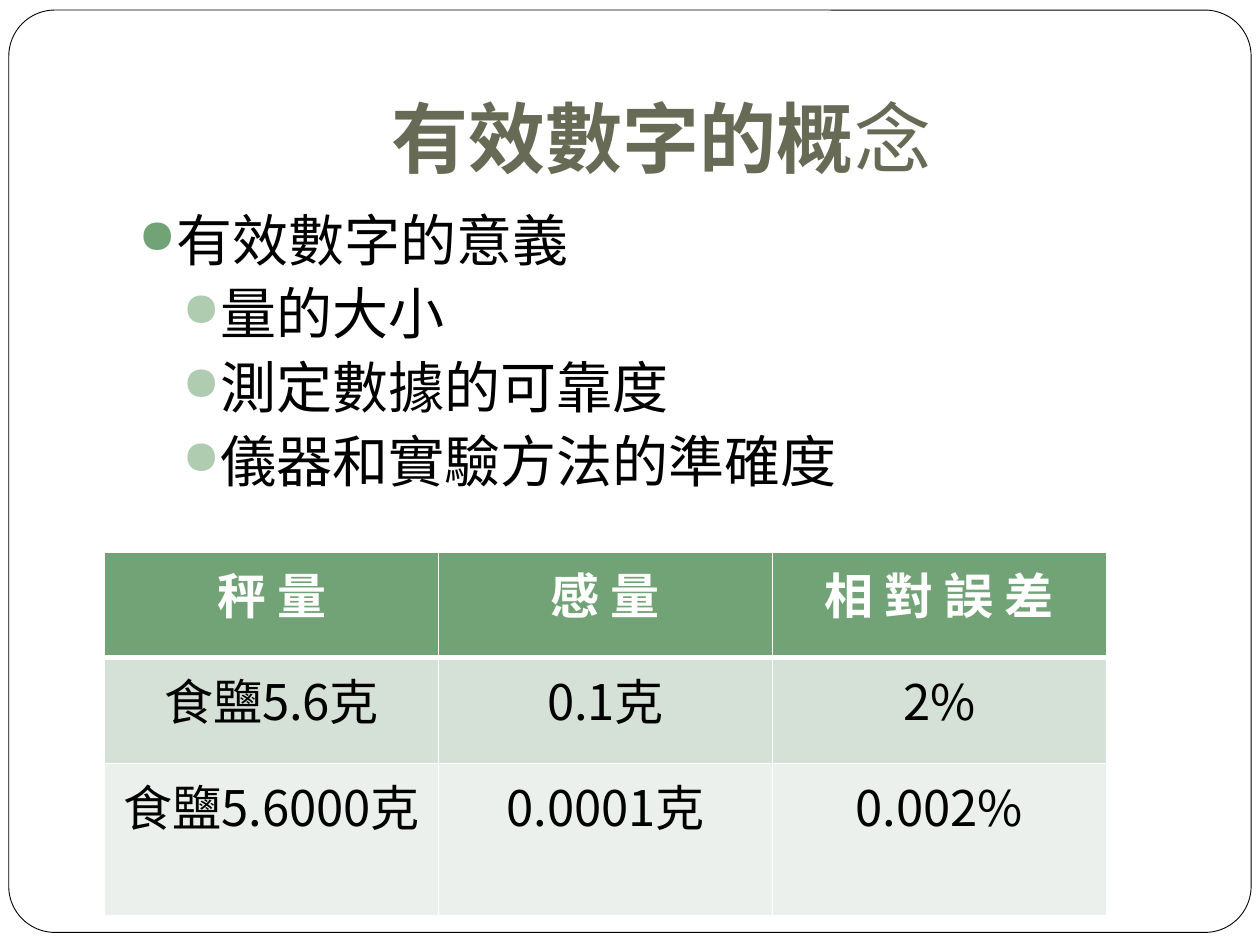
from lxml import etree
from pptx import Presentation
from pptx import util as u
from pptx.dml.color import RGBColor
from pptx.enum import shapes, text
from pptx.oxml.ns import qn

INK = RGBColor(0x00, 0x00, 0x00)
WHITE = RGBColor(0xFF, 0xFF, 0xFF)
OLIVE = RGBColor(0x67, 0x6A, 0x55)
GREEN = RGBColor(0x72, 0xA3, 0x76)
SAGE = RGBColor(0xB0, 0xCC, 0xB0)
BANDS = [GREEN, RGBColor(0xD5, 0xE0, 0xD6), RGBColor(0xEB, 0xF0, 0xEC)]
FACE = "Noto Sans CJK SC"
LEVELS = [(0.3, 0.3, 5.8, GREEN), (0.6, 0.25, 3.7, SAGE)]
POINTS = [
    (0, "有效數字的意義"),
    (1, "量的大小"),
    (1, "測定數據的可靠度"),
    (1, "儀器和實驗方法的準確度"),
]
ROWS = [
    ["秤 量", "感 量", "相 對 誤 差"],
    ["食鹽5.6克", "0.1克", "2%"],
    ["食鹽5.6000克", "0.0001克", "0.002%"],
]


def add(node, tag, **attrs):
    return etree.SubElement(node, qn(tag), **attrs)


class Deck:
    def __init__(self, wide, high):
        self.prs = Presentation()
        self.prs.slide_width = u.Inches(wide)
        self.prs.slide_height = u.Inches(high)
        self.slide = self.prs.slides.add_slide(self.prs.slide_layouts[5])

    def box(self, left, top, wide, high):
        return [u.Inches(n) for n in (left, top, wide, high)]

    def style(self, run, size, color, bold=False):
        font = run.font
        font.name, font.size, font.bold = FACE, u.Pt(size), bold
        font.color.rgb = color
        east = etree.Element(qn("a:ea"), typeface=FACE)
        run._r.rPr.find(qn("a:latin")).addnext(east)

    def frame(self, area):
        card = self.slide.shapes.add_shape(
            shapes.MSO_SHAPE.ROUNDED_RECTANGLE, *self.box(*area))
        card.adjustments[0] = 0.05
        card.shadow.inherit = False
        card.fill.solid()
        card.fill.fore_color.rgb = WHITE
        card.line.color.rgb = INK
        card.line.width = u.Pt(0.5)
        self.slide.shapes._spTree.insert(2, card._element)

    def title(self, area, parts):
        head = self.slide.shapes.title
        head.left, head.top, head.width, head.height = self.box(*area)
        frame = head.text_frame
        frame.auto_size = text.MSO_AUTO_SIZE.NONE
        frame.vertical_anchor = text.MSO_ANCHOR.BOTTOM
        frame.margin_bottom = u.Inches(0.1)
        para = frame.paragraphs[0]
        para.alignment = text.PP_ALIGN.CENTER
        for words, bold in parts:
            run = para.add_run()
            run.text = words
            self.style(run, 44, OLIVE, bold)

    def bullets(self, area, points):
        frame = self.slide.shapes.add_textbox(*self.box(*area)).text_frame
        frame.word_wrap = True
        frame.text = "\n".join(words for _, words in points)
        for para, (level, _) in zip(frame.paragraphs, points):
            left, hang, gap, color = LEVELS[level]
            para.level = level
            para.space_before = u.Pt(gap)
            props = para._p.get_or_add_pPr()
            props.set("marL", str(u.Inches(left)))
            props.set("indent", str(-u.Inches(hang)))
            add(add(props, "a:buClr"), "a:srgbClr", val=str(color))
            add(props, "a:buSzPct", val="85000")
            add(props, "a:buFont", typeface="OpenSymbol")
            add(props, "a:buChar", char="●")
            self.style(para.runs[0], 32, INK)

    def edges(self, cell, widths):
        props = cell._tc.get_or_add_tcPr()
        for spot, (side, width) in enumerate(zip("LRTB", widths)):
            line = etree.Element(qn("a:ln" + side), w=str(u.Pt(width)))
            add(add(line, "a:solidFill"), "a:srgbClr", val=str(WHITE))
            props.insert(spot, line)

    def table(self, area, rows, last):
        grid = self.slide.shapes.add_table(
            len(rows), len(rows[0]), *self.box(*area)).table
        grid.rows[len(rows) - 1].height = u.Inches(last)
        for y, row in enumerate(rows):
            for x, words in enumerate(row):
                cell = grid.cell(y, x)
                cell.text = words
                cell.fill.solid()
                cell.fill.fore_color.rgb = BANDS[y]
                self.edges(cell, (1, 1, 3 if y == 1 else 1, 1 if y else 3))
                para = cell.text_frame.paragraphs[0]
                para.alignment = text.PP_ALIGN.CENTER
                self.style(para.runs[0], 28, INK if y else WHITE, y == 0)


def main():
    deck = Deck(10, 7.5)
    deck.frame((0.07, 0.08, 9.86, 7.32))
    deck.title((1, 0.3, 8.5, 1.25), [("有效數字的概", True), ("念", False)])
    deck.bullets((1, 1.58, 8.5, 5), POINTS)
    deck.table((0.83, 4.38, 7.95, 2.52), ROWS, 1.21)
    deck.prs.save("out.pptx")


if __name__ == "__main__":
    main()
